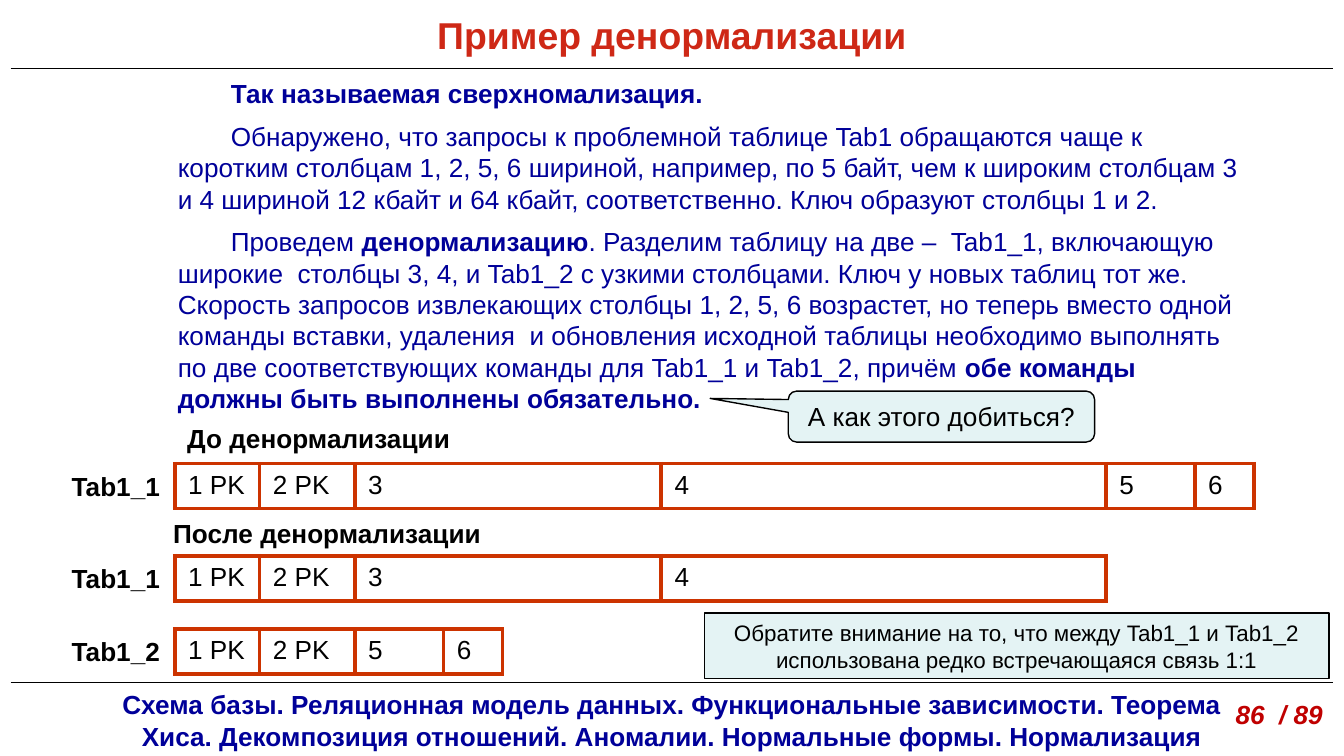
from lxml import etree
from pptx import Presentation
from pptx.dml.color import RGBColor
from pptx.enum.shapes import MSO_CONNECTOR, MSO_SHAPE
from pptx.enum.text import MSO_ANCHOR, PP_ALIGN
from pptx.oxml.ns import qn
from pptx.util import Pt

PX = 4572
SLIDE_WIDTH, SLIDE_HEIGHT = 2000, 1125
FONT = "Arial"
STRAIGHT = MSO_CONNECTOR.STRAIGHT
RECTANGLE = MSO_SHAPE.RECTANGLE
CALLOUT = MSO_SHAPE.ROUNDED_RECTANGULAR_CALLOUT
LEFT, CENTER = PP_ALIGN.LEFT, PP_ALIGN.CENTER
TOP, MIDDLE = MSO_ANCHOR.TOP, MSO_ANCHOR.MIDDLE

COLORS = {
    "navy": "000099",
    "title": "CE2816",
    "number": "C00000",
    "black": "000000",
    "note": "E4F3F4",
    "border": "CC3300",
    "white": "FFFFFF",
}
FORMATS = {
    "title": {"size": Pt(20), "bold": True, "color": "title"},
    "body": {"size": Pt(14), "bold": False, "color": "navy"},
    "strong": {"size": Pt(14), "bold": True, "color": "navy"},
    "number": {"size": Pt(14), "bold": True, "italic": True, "color": "number"},
    "label": {"size": Pt(14), "bold": True, "color": "black"},
    "plain": {"size": Pt(14), "color": "black"},
    "small": {"size": Pt(12), "color": "black"},
}
COLUMN_WIDTHS = {"1 PK": 126, "2 PK": 142, "3": 456, "4": 662, "5": 132, "6": 88}
ROW_HEIGHT = 67
LABEL_HEIGHT = 67
BODY = [
    [("Так называемая сверхномализация.", "strong")],
    [("Обнаружено, что запросы к проблемной таблице Tab1 обращаются чаще к "
      "коротким столбцам 1, 2, 5, 6 шириной, например, по 5 байт, чем к широким "
      "столбцам 3 и 4 шириной 12 кбайт и 64 кбайт, соответственно. Ключ образуют "
      "столбцы 1 и 2.", "body")],
    [("Проведем ", "body"),
     ("денормализацию", "strong"),
     (". Разделим таблицу на две –  Tab1_1, включающую широкие  столбцы 3, 4, и "
      "Tab1_2 с узкими столбцами. Ключ у новых таблиц тот же. Скорость запросов "
      "извлекающих столбцы 1, 2, 5, 6 возрастет, но теперь вместо одной команды "
      "вставки, удаления  и обновления исходной таблицы необходимо выполнять по "
      "две соответствующих команды для Tab1_1 и Tab1_2, причём ", "body"),
     ("обе команды должны быть выполнены обязательно.", "strong")],
]
FOOTER = ("Схема базы. Реляционная модель данных. Функциональные зависимости. "
          "Теорема Хиса. Декомпозиция отношений. Аномалии. Нормальные формы. "
          "Нормализация")
NOTE = ["Обратите внимание на то, что между Tab1_1 и Tab1_2",
        "использована редко встречающаяся связь 1:1"]


def scale(*lengths):
    """Turn px lengths into EMU."""
    return [length * PX for length in lengths]


def rgb(name):
    """Look up a named colour."""
    return RGBColor.from_string(COLORS[name])


def add_run(paragraph, text, style):
    """Append a run in a named format."""
    run = paragraph.add_run()
    run.text = text
    run.font.name = FONT
    for attribute, value in FORMATS[style].items():
        if attribute == "color":
            run.font.color.rgb = rgb(value)
        else:
            setattr(run.font, attribute, value)


def fill_frame(frame, paragraphs, align=LEFT, anchor=TOP, wrap=True):
    """Write lists of (text, format) runs as paragraphs and return these."""
    frame.word_wrap = wrap
    frame.vertical_anchor = anchor
    for index, runs in enumerate(paragraphs):
        paragraph = frame.add_paragraph() if index else frame.paragraphs[0]
        paragraph.alignment = align
        for text, style in runs:
            add_run(paragraph, text, style)
    return frame.paragraphs


def add_text(slide, box, text, style, align=LEFT):
    """Add a text box with one paragraph."""
    shape = slide.shapes.add_textbox(*scale(*box))
    fill_frame(shape.text_frame, [[(text, style)]], align)


def add_rule(slide, left, top, width):
    """Add a thin horizontal line."""
    line = slide.shapes.add_connector(STRAIGHT, *scale(left, top, left + width, top))
    line.line.color.rgb = rgb("black")
    line.line.width = Pt(0.75)
    etree.SubElement(line._element.spPr, qn("a:effectLst"))


def add_note(slide, kind, box, lines, style, anchor=TOP, wrap=True):
    """Add a pale outlined shape with centred lines."""
    shape = slide.shapes.add_shape(kind, *scale(*box))
    shape.shadow.inherit = False
    shape.fill.solid()
    shape.fill.fore_color.rgb = rgb("note")
    shape.line.color.rgb = rgb("black")
    shape.line.width = Pt(0.75)
    fill_frame(shape.text_frame, [[(line, style)] for line in lines], CENTER, anchor, wrap)
    return shape


def set_borders(cell):
    """Outline a table cell on all four sides."""
    properties = cell._tc.get_or_add_tcPr()
    for side in ("a:lnL", "a:lnR", "a:lnT", "a:lnB"):
        line = etree.SubElement(properties, qn(side), w=str(Pt(2.25)))
        fill = etree.SubElement(line, qn("a:solidFill"))
        etree.SubElement(fill, qn("a:srgbClr"), val=COLORS["border"])


def add_header(slide, left, top, width, height):
    """Place the title and the rule below it."""
    add_text(slide, (left, top, width, height), "Пример денормализации", "title", CENTER)
    add_rule(slide, left + 16, top + 94, width - 32)


def add_footer(slide, left, top, width, height):
    """Place the rule, the topic list and the page number."""
    add_rule(slide, left + 16, top, width - 32)
    add_text(slide, (left + 157, top - 1, 1686, height), FOOTER, "strong", CENTER)
    add_text(slide, (left + 1819, top + 13, 204, LABEL_HEIGHT), "86  / 89", "number")


def add_body(slide, left, top, width, height):
    """Place the indented explanation and its callout."""
    shape = slide.shapes.add_textbox(*scale(left, top, width, height))
    for paragraph in fill_frame(shape.text_frame, BODY):
        paragraph.space_after = Pt(6)
        properties = paragraph._p.get_or_add_pPr()
        for name in ("marL", "indent"):
            properties.set(name, str(79 * PX))
    callout = add_note(slide, CALLOUT, (left + 1007, top + 476, 456, 76),
                       ["А как этого добиться?"], "plain")
    for index, value in enumerate((-0.755, -0.355, 0.167)):
        callout.adjustments[index] = value


def add_relation(slide, left, top, name, columns):
    """Place a relation name and its one-row table of columns."""
    add_text(slide, (left, top, 194, LABEL_HEIGHT), name, "label")
    widths = [COLUMN_WIDTHS[column] for column in columns]
    box = scale(left + 173, top, sum(widths), ROW_HEIGHT)
    table = slide.shapes.add_table(1, len(columns), *box).table
    table.first_row = table.horz_banding = False
    for index, column in enumerate(columns):
        table.columns[index].width = widths[index] * PX
        cell = table.cell(0, index)
        set_borders(cell)
        cell.fill.solid()
        cell.fill.fore_color.rgb = rgb("white")
        add_run(cell.text_frame.paragraphs[0], column, "plain")


def add_comparison(slide, left, top):
    """Place the relations before and after denormalization."""
    add_text(slide, (left + 172, top, 534, LABEL_HEIGHT), "До денормализации", "label")
    add_relation(slide, left, top + 71, "Tab1_1", list(COLUMN_WIDTHS))
    add_text(slide, (left + 151, top + 141, 534, LABEL_HEIGHT), "После денормализации", "label")
    add_relation(slide, left, top + 208, "Tab1_1", ["1 PK", "2 PK", "3", "4"])
    add_relation(slide, left, top + 317, "Tab1_2", ["1 PK", "2 PK", "5", "6"])
    add_note(slide, RECTANGLE, (left + 961, top + 293, 930, 98), NOTE, "small", MIDDLE, False)


def main():
    """Build and save the presentation."""
    presentation = Presentation()
    presentation.slide_width, presentation.slide_height = scale(SLIDE_WIDTH, SLIDE_HEIGHT)
    slide = presentation.slides.add_slide(presentation.slide_layouts[6])
    add_footer(slide, 0, 1016, SLIDE_WIDTH, 114)
    add_header(slide, 0, 8, SLIDE_WIDTH, 98)
    add_body(slide, 166, 106, 1700, 526)
    add_comparison(slide, 87, 619)
    presentation.save("out.pptx")


if __name__ == "__main__":
    main()
